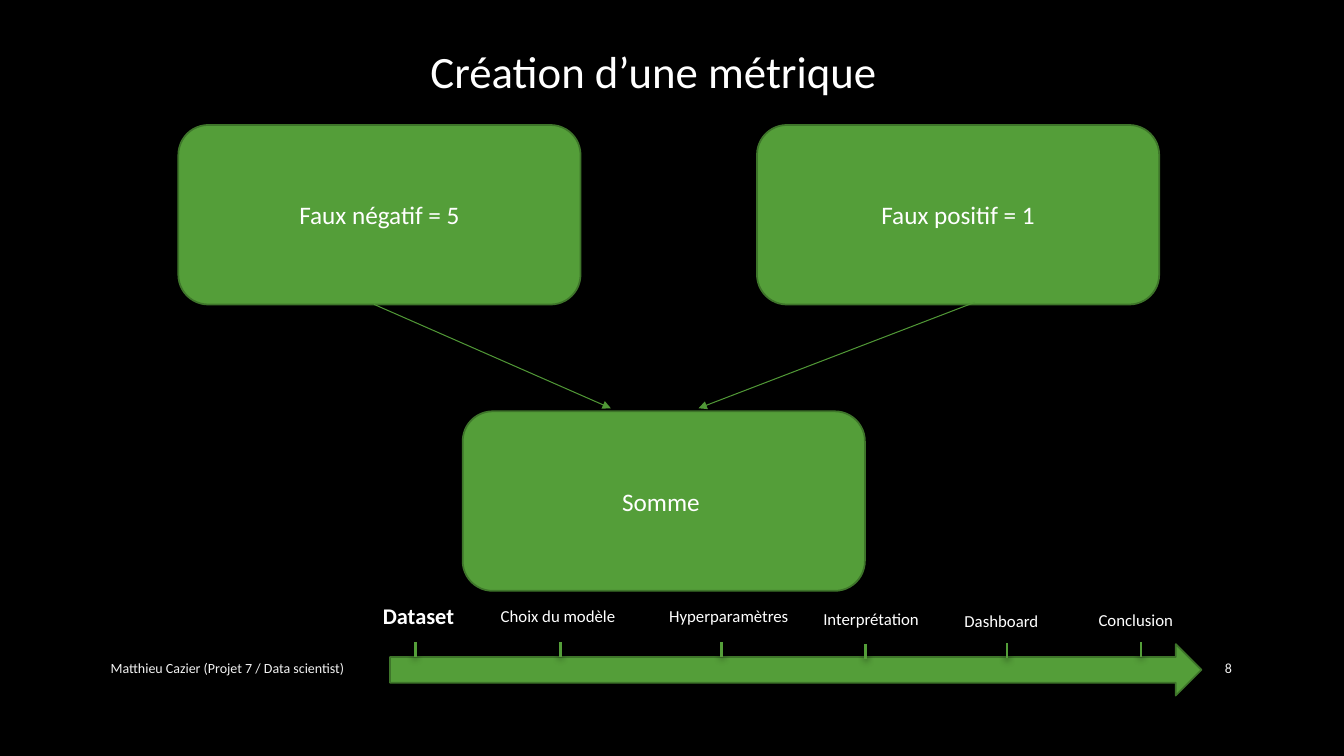
"""Build the slide "Création d'une métrique" with its project timeline."""
from lxml.etree import SubElement
from pptx import Presentation
from pptx.dml.color import RGBColor
from pptx.enum.shapes import MSO_CONNECTOR as Link, MSO_SHAPE as Preset
from pptx.enum.text import MSO_ANCHOR as Anchor, PP_ALIGN as Align
from pptx.oxml.ns import qn
from pptx.util import Pt

color = RGBColor.from_string
GREEN, DARK_GREEN, LINK_GREEN = "549E39", "3E752A", "509736"
WHITE, LIGHT = "FFFFFF", "F2F2F2"


def write(shape, text, size, ink=WHITE, align=Align.LEFT, anchor=Anchor.TOP, bold=False):
    frame = shape.text_frame
    frame.word_wrap = True
    frame.vertical_anchor = anchor
    paragraph = frame.paragraphs[0]
    paragraph.text = text
    paragraph.alignment = align
    font = paragraph.font
    font.name, font.size, font.bold = "Calibri", Pt(size), bold
    font.color.rgb = color(ink)


def paint(shape):
    shape.shadow.inherit = False
    shape.fill.solid()
    shape.fill.fore_color.rgb = color(GREEN)
    shape.line.color.rgb = color(DARK_GREEN)
    shape.line.width = Pt(1.25)


deck = Presentation()
deck.slide_width, deck.slide_height = Pt(960), Pt(540)
slide = deck.slides.add_slide(deck.slide_layouts[6])
slide.background.fill.solid()
slide.background.fill.fore_color.rgb = color("000000")
shapes = slide.shapes

for text, left, width, align in [
    ("Matthieu Cazier (Projet 7 / Data scientist)", 72, 525.6, Align.LEFT),
    ("8", 828, 59, Align.RIGHT),
]:
    footer = shapes.add_textbox(Pt(left), Pt(463), Pt(width), Pt(28.8))
    write(footer, text, 10, LIGHT, align, Anchor.MIDDLE)

timeline = shapes.add_shape(Preset.RIGHT_ARROW, Pt(278.6), Pt(460.1), Pt(579.6), Pt(36.7))
paint(timeline)

for step, left, top, width, size, tick_x, tick_top in [
    ("Dataset", 266.4, 426.2, 71.3, 16, 296.7, 458.6),
    ("Choix du modèle", 350.6, 429.1, 131.8, 12, 400.3, 458.6),
    ("Hyperparamètres", 470.9, 429.1, 127.4, 12, 515.5, 458.6),
    ("Interprétation", 581, 431.3, 87.1, 12, 618.5, 460),
    ("Dashboard", 681.8, 432.7, 87.1, 12, 719.3, 459.5),
    ("Conclusion", 777.6, 432, 87.1, 12, 815, 458.6),
]:
    tick = shapes.add_connector(
        Link.STRAIGHT, Pt(tick_x), Pt(tick_top), Pt(tick_x), Pt(tick_top + 10.4))
    tick.line.color.rgb = color(GREEN)
    tick.line.width = Pt(2)
    effects = SubElement(tick._element.spPr, qn("a:effectLst"))
    shadow = SubElement(effects, qn("a:outerShdw"), blurRad=str(Pt(5)), dist=str(Pt(2)),
                        dir="5400000", rotWithShape="0")
    shade = SubElement(shadow, qn("a:srgbClr"), val="000000")
    SubElement(shade, qn("a:alpha"), val="60000")
    label = shapes.add_textbox(Pt(left), Pt(top), Pt(width), Pt(size + 10))
    write(label, step, size, bold=step == "Dataset")

title = shapes.add_textbox(Pt(266.4), Pt(27.4), Pt(401), Pt(46))
write(title, "Création d’une métrique", 32, align=Align.CENTER)

for text, left, top in [
    ("Faux négatif = 5", 127.4, 89.3),
    ("Faux positif = 1", 540.7, 89.3),
    ("Somme ", 330.5, 293.8),
]:
    box = shapes.add_shape(Preset.ROUNDED_RECTANGLE, Pt(left), Pt(top), Pt(287.3), Pt(128.2))
    paint(box)
    write(box, text, 18, align=Align.CENTER, anchor=Anchor.MIDDLE)

for start_x, start_y, end_x in [(267.1, 217.4, 436.3), (696.2, 216, 499)]:
    link = shapes.add_connector(
        Link.STRAIGHT, Pt(start_x), Pt(start_y), Pt(end_x), Pt(291.6))
    link.line.color.rgb = color(LINK_GREEN)
    link.line.width = Pt(0.75)
    SubElement(link.line._get_or_add_ln(), qn("a:tailEnd"), type="triangle")
    SubElement(link._element.spPr, qn("a:effectLst"))

deck.save("out.pptx")
